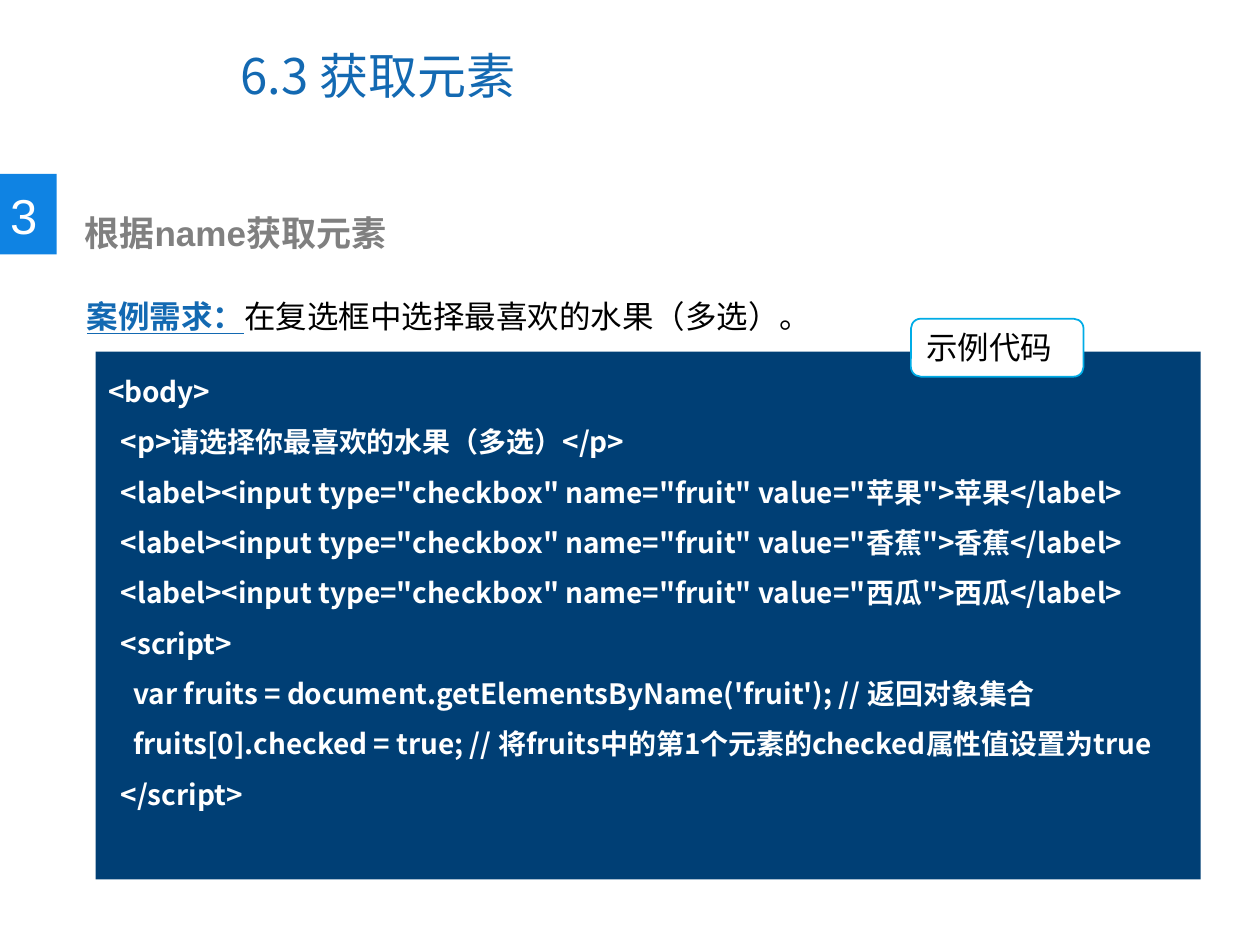
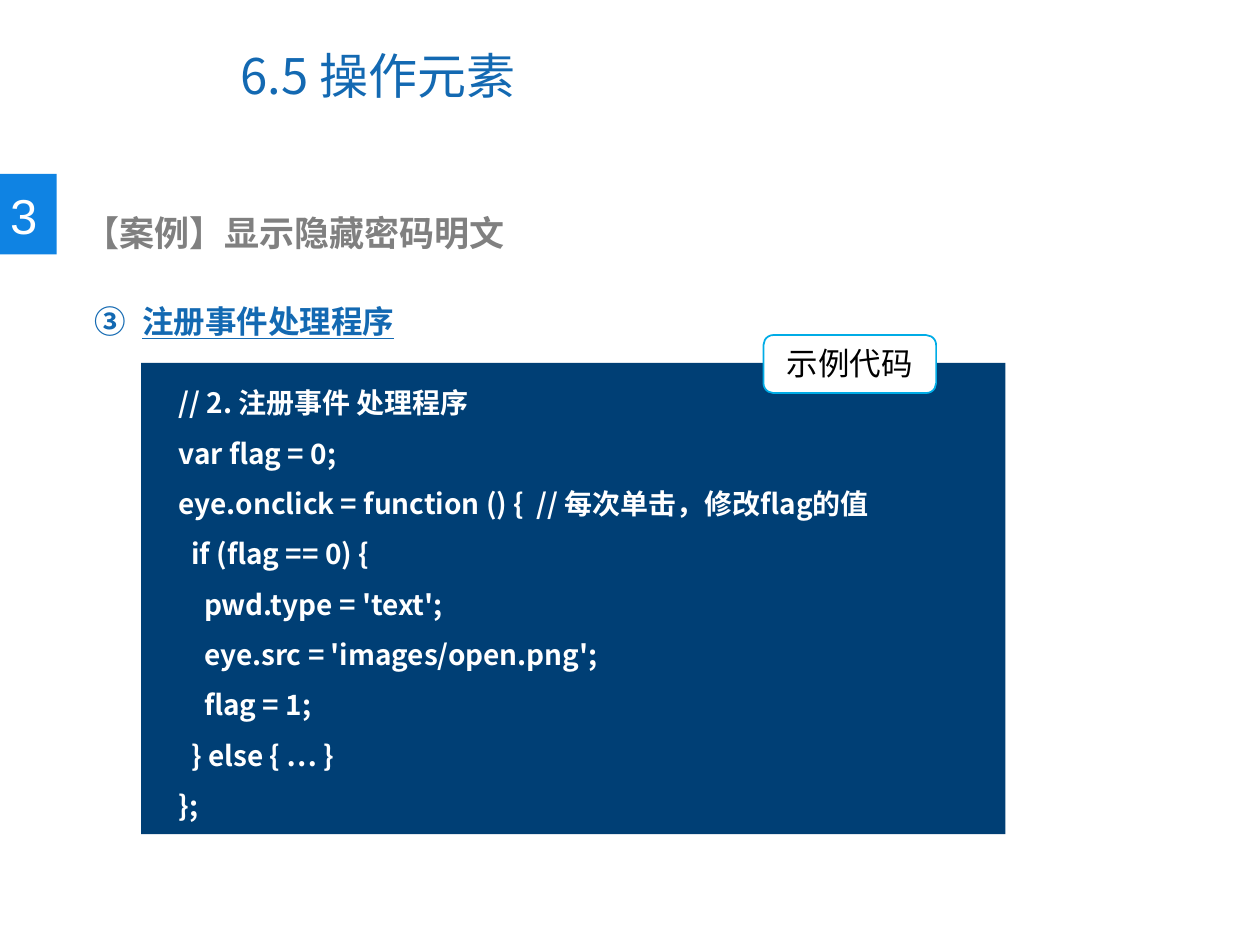
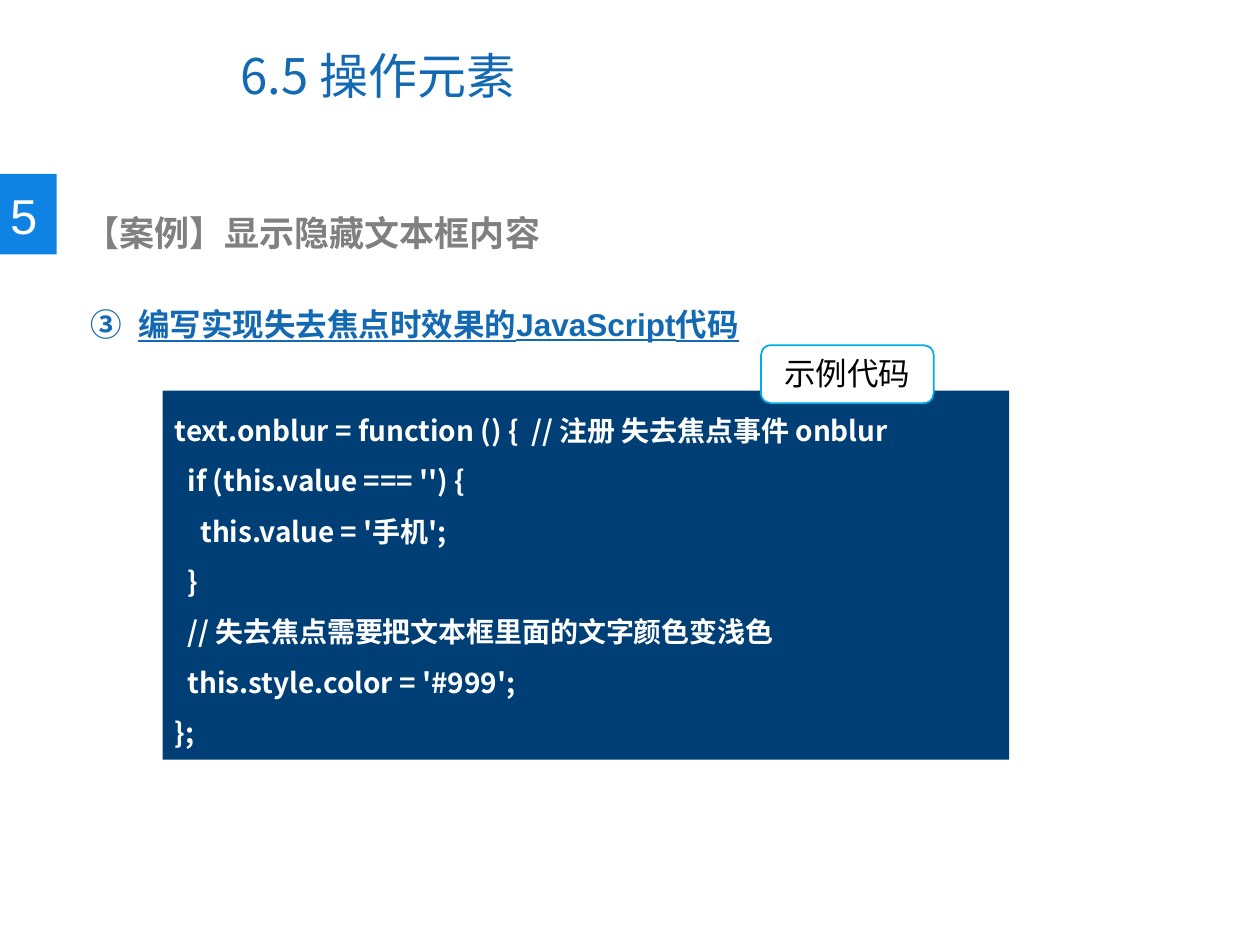
"""Build three lesson slides on getting and operating on page elements."""
import pptx
import pptx.dml.color
import pptx.enum.shapes
import pptx.enum.text
import pptx.oxml.ns
import pptx.util
from lxml import etree

Inches = pptx.util.Inches
Pt = pptx.util.Pt
RGBColor = pptx.dml.color.RGBColor
Shape = pptx.enum.shapes.MSO_SHAPE
Align = pptx.enum.text.PP_ALIGN
Anchor = pptx.enum.text.MSO_ANCHOR
qn = pptx.oxml.ns.qn

TITLE_BLUE = RGBColor(0x13, 0x69, 0xB2)
BADGE_BLUE = RGBColor(0x0F, 0x83, 0xE3)
CODE_NAVY = RGBColor(0x00, 0x3F, 0x75)
LABEL_CYAN = RGBColor(0x00, 0xAC, 0xE6)
HEADING_GRAY = RGBColor(0x80, 0x80, 0x80)
WHITE = RGBColor(0xFF, 0xFF, 0xFF)
BLACK = RGBColor(0x00, 0x00, 0x00)
LATIN_FONT = "Arial"
CHINESE_FONT = "Noto Sans CJK SC"

FRUIT_CODE = """<body>
  <p>请选择你最喜欢的水果（多选）</p>
  <label><input type="checkbox" name="fruit" value="苹果">苹果</label>
  <label><input type="checkbox" name="fruit" value="香蕉">香蕉</label>
  <label><input type="checkbox" name="fruit" value="西瓜">西瓜</label>
  <script>
    var fruits = document.getElementsByName('fruit'); // 返回对象集合
    fruits[0].checked = true; // 将fruits中的第1个元素的checked属性值设置为true
  </script>"""

PASSWORD_CODE = """    // 2. 注册事件 处理程序
    var flag = 0;
    eye.onclick = function () {  // 每次单击，修改flag的值
      if (flag == 0) {
        pwd.type = 'text';
        eye.src = 'images/open.png';
        flag = 1;
      } else { … }
    };"""

BLUR_CODE = """text.onblur = function () {  // 注册 失去焦点事件 onblur
  if (this.value === '') {
    this.value = '手机';
  }
  // 失去焦点需要把文本框里面的文字颜色变浅色
  this.style.color = '#999';
};"""


def add_run(paragraph, text, size, color, font=LATIN_FONT, bold=False, underline=False):
    """Add one styled run with its Latin and Chinese fonts."""
    run = paragraph.add_run()
    run.text = text
    run.font.name = font
    run.font.size = Pt(size)
    run.font.bold = bold
    run.font.underline = underline
    run.font.color.rgb = color
    east_asian = etree.Element(qn("a:ea"), typeface=CHINESE_FONT)
    run.font._element.find(qn("a:latin")).addnext(east_asian)


def add_text_box(slide, left, top, width, height, wrap=True):
    """Add a text box and return its text frame."""
    text_box = slide.shapes.add_textbox(
        Inches(left), Inches(top), Inches(width), Inches(height))
    text_box.text_frame.word_wrap = wrap
    return text_box.text_frame


def add_panel(slide, kind, left, top, width, height, fill, line=None):
    """Add a flat filled shape whose text starts at the top left."""
    shape = slide.shapes.add_shape(
        kind, Inches(left), Inches(top), Inches(width), Inches(height))
    shape.shadow.inherit = False
    shape.fill.solid()
    shape.fill.fore_color.rgb = fill
    if line is None:
        shape.line.fill.background()
    else:
        shape.line.color.rgb = line
        shape.line.width = Pt(1)
    shape.text_frame.vertical_anchor = Anchor.TOP
    shape.text_frame.paragraphs[0].alignment = Align.LEFT
    return shape


def add_lesson_slide(presentation, title, number, heading):
    """Add a slide with its section title, numbered badge and heading."""
    slide = presentation.slides.add_slide(presentation.slide_layouts[6])
    title_frame = add_text_box(slide, 1.81, 0.17, 5.16, 0.85)
    title_frame.vertical_anchor = Anchor.MIDDLE
    add_run(title_frame.paragraphs[0], title, 28, TITLE_BLUE, CHINESE_FONT)
    add_panel(slide, Shape.RECTANGLE, 0, 1.38, 0.45, 0.64, BADGE_BLUE)
    number_frame = add_text_box(slide, 0, 1.42, 0.42, 0.57, wrap=False)
    number_frame.margin_left = Inches(0.08)
    add_run(number_frame.paragraphs[0], number, 28, WHITE)
    heading_frame = add_text_box(slide, 0.47, 1.63, 5.14, 0.44)
    heading_frame.margin_left = Inches(0.2)
    add_run(heading_frame.paragraphs[0], heading, 20, HEADING_GRAY, bold=True)
    return slide


def add_lead_paragraph(slide, left, top, height, text):
    """Add the underlined lead text and return its paragraph."""
    paragraph = add_text_box(slide, left, top, 8.65, height).paragraphs[0]
    paragraph.line_spacing = 2.0
    add_run(paragraph, text, 18, TITLE_BLUE, bold=True, underline=True)
    return paragraph


def number_step(paragraph, start):
    """Give a paragraph a circled number with a hanging indent."""
    properties = paragraph._p.get_or_add_pPr()
    properties.set("marL", str(Inches(0.38)))
    properties.set("indent", str(-Inches(0.38)))
    etree.SubElement(properties, qn("a:buAutoNum"),
                     type="circleNumDbPlain", startAt=str(start))


def add_code(slide, left, top, width, height, code):
    """Add a navy panel with one paragraph for each line of code."""
    panel = add_panel(slide, Shape.RECTANGLE, left, top, width, height, CODE_NAVY)
    frame = panel.text_frame
    frame.word_wrap = True
    for index, line in enumerate(code.splitlines()):
        paragraph = frame.add_paragraph() if index else frame.paragraphs[0]
        paragraph.alignment = Align.LEFT
        paragraph.line_spacing = 1.5
        add_run(paragraph, line, 16, WHITE, CHINESE_FONT, bold=True)


def add_code_label(slide, left, top, alignment=Align.CENTER):
    """Add the rounded label that overlaps a code panel."""
    label = add_panel(slide, Shape.ROUNDED_RECTANGLE, left, top, 1.37, 0.46,
                      WHITE, LABEL_CYAN)
    label.adjustments[0] = 0.17
    paragraph = label.text_frame.paragraphs[0]
    paragraph.alignment = alignment
    add_run(paragraph, "示例代码", 18, BLACK)


def main():
    """Build and save the presentation."""
    presentation = pptx.Presentation()
    presentation.slide_width = Inches(10)
    presentation.slide_height = Inches(7.5)

    slide = add_lesson_slide(presentation, "6.3 获取元素", "3", "根据name获取元素")
    add_code(slide, 0.76, 2.79, 8.77, 4.19, FRUIT_CODE)
    add_code_label(slide, 7.23, 2.53, Align.LEFT)
    requirement = add_lead_paragraph(slide, 0.59, 2.01, 0.71, "案例需求：")
    add_run(requirement, "在复选框中选择最喜欢的水果（多选）。", 18, BLACK)

    slide = add_lesson_slide(presentation, "6.5 操作元素", "3", "【案例】显示隐藏密码明文")
    number_step(add_lead_paragraph(slide, 0.65, 2.05, 0.61, "注册事件处理程序"), 3)
    add_code(slide, 1.12, 2.88, 6.86, 3.74, PASSWORD_CODE)
    add_code_label(slide, 6.06, 2.66)

    slide = add_lesson_slide(presentation, "6.5 操作元素", "5", "【案例】显示隐藏文本框内容")
    number_step(add_lead_paragraph(
        slide, 0.62, 2.07, 0.71, "编写实现失去焦点时效果的JavaScript代码"), 3)
    add_code(slide, 1.29, 3.1, 6.72, 2.93, BLUR_CODE)
    add_code_label(slide, 6.04, 2.74)

    presentation.save("out.pptx")


if __name__ == "__main__":
    main()
